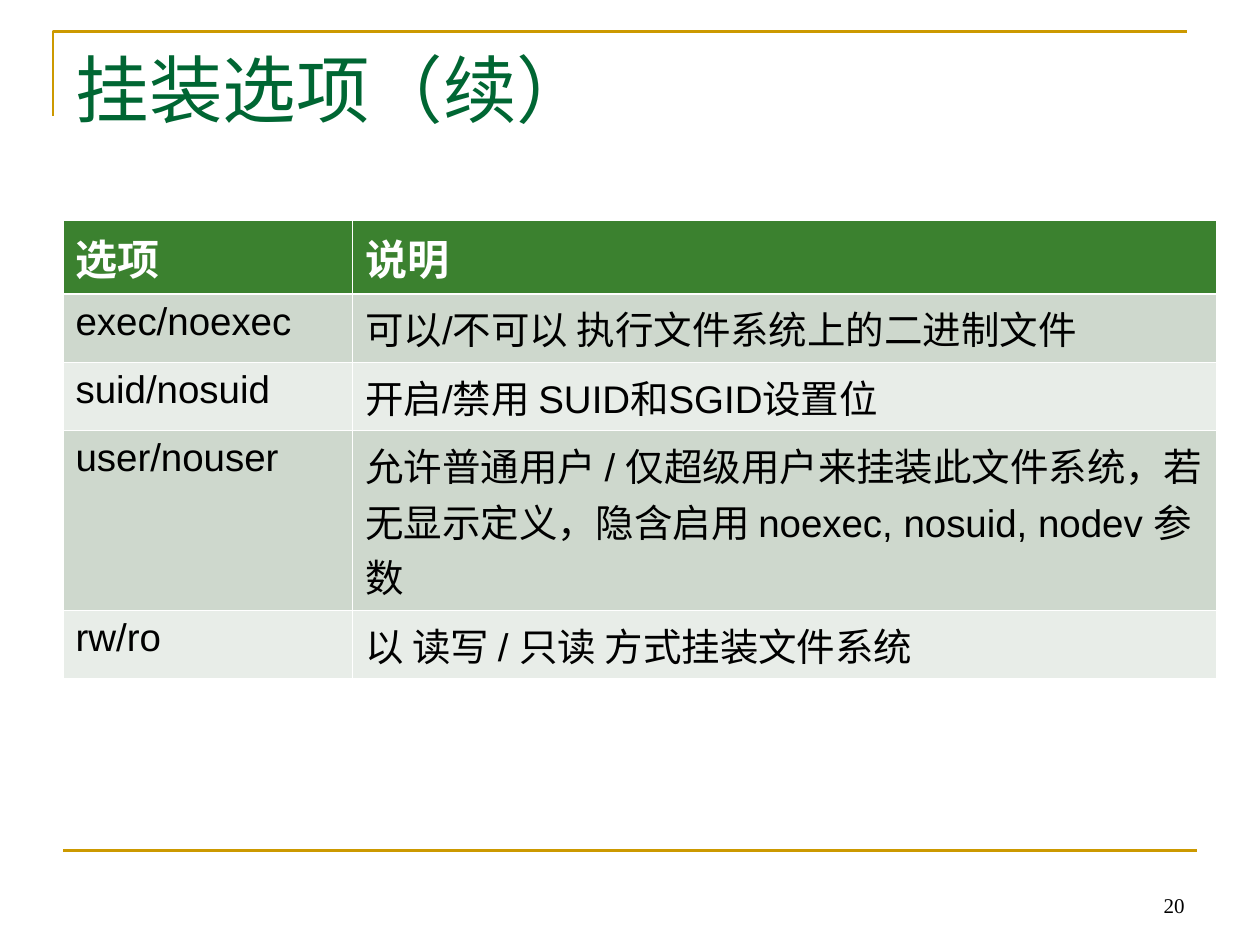
from dataclasses import dataclass

from lxml.etree import SubElement
from pptx import Presentation
from pptx.dml.color import RGBColor
from pptx.enum.shapes import MSO_CONNECTOR
from pptx.enum.text import MSO_ANCHOR, PP_ALIGN
from pptx.oxml.ns import qn
from pptx.util import Inches, Pt


@dataclass(frozen=True)
class Theme:
    gold: str = "CC9900"
    green: str = "006633"
    head: str = "3B812F"
    bands: tuple = ("CED8CD", "E8EDE8")
    white: str = "FFFFFF"
    black: str = "000000"
    serif: str = "Times New Roman"
    sans: str = "Arial"
    title: int = 42
    label: int = 24
    body: int = 22
    page: int = 12
    rule: float = 1.5
    thin: float = 0.45
    thick: float = 1.47


THEME = Theme()
ROWS = [
    ("选项", "说明"),
    ("exec/noexec", "可以/不可以 执行文件系统上的二进制文件"),
    ("suid/nosuid", "开启/禁用 SUID和SGID设置位"),
    ("user/nouser", "允许普通用户 / 仅超级用户来挂装此文件系统，"
                    "若无显示定义，隐含启用 noexec, nosuid, nodev 参数"),
    ("rw/ro", "以 读写 / 只读 方式挂装文件系统"),
]
WIDTHS = (2.3, 6.85)
HEIGHTS = (0.5, 0.5, 0.5, 1.2, 0.5)


def color(code):
    return RGBColor.from_string(code)


def apply(item, **values):
    for name, value in values.items():
        setattr(item, name, value)


def write(frame, text, size, face, code, bold=False, align=PP_ALIGN.LEFT):
    para = frame.paragraphs[0]
    para.alignment = align
    run = para.add_run()
    run.text = text
    apply(run.font, size=Pt(size), name=face, bold=bold)
    run.font.color.rgb = color(code)


def place(shape, left, top, width, height):
    apply(shape, left=Inches(left), top=Inches(top),
          width=Inches(width), height=Inches(height))


def stroke(shape):
    shape.line.color.rgb = color(THEME.gold)
    shape.line.width = Pt(THEME.rule)


def add_corner(slide):
    left, top = Inches(0.42), Inches(0.25)
    pen = slide.shapes.build_freeform(left, Inches(0.92))
    pen.add_line_segments([(left, top), (Inches(9.42), top)], close=False)
    shape = pen.convert_to_shape()
    shape.shadow.inherit = False
    shape.fill.background()
    stroke(shape)


def add_rule(slide):
    ends = [Inches(n) for n in (0.5, 6.75, 9.5, 6.75)]
    line = slide.shapes.add_connector(MSO_CONNECTOR.STRAIGHT, *ends)
    stroke(line)
    SubElement(line._element.spPr, qn("a:effectLst"))


def add_title(slide, text):
    title = slide.shapes.title
    place(title, 0.5, 0.3, 9, 1.25)
    apply(title.text_frame, vertical_anchor=MSO_ANCHOR.TOP, word_wrap=True)
    write(title.text_frame, text, THEME.title, THEME.serif, THEME.green)


def set_edges(cell, **widths):
    props = cell._tc.get_or_add_tcPr()
    # Borders come before the fill in the cell properties
    for spot, side in enumerate("LRTB"):
        edge = props.makeelement(qn(f"a:ln{side}"))
        edge.set("w", str(int(Pt(widths.get(side, THEME.thin)))))
        fill = SubElement(edge, qn("a:solidFill"))
        SubElement(fill, qn("a:srgbClr")).set("val", THEME.white)
        props.insert(spot, edge)


def add_grid(slide):
    frame = slide.shapes.add_table(
        len(ROWS), len(WIDTHS), Inches(0.5), Inches(1.75),
        Inches(sum(WIDTHS)), Inches(sum(HEIGHTS)))
    grid = frame.table
    for col, width in zip(grid.columns, WIDTHS):
        col.width = Inches(width)
    for row, height in zip(grid.rows, HEIGHTS):
        row.height = Inches(height)

    for i, texts in enumerate(ROWS):
        head = i == 0
        shade = THEME.head if head else THEME.bands[(i - 1) % 2]
        style = ((THEME.label, THEME.sans, THEME.white, True) if head
                 else (THEME.body, THEME.sans, THEME.black))
        # A thick edge parts the header from the body
        edges = {0: {"B": THEME.thick}, 1: {"T": THEME.thick}}.get(i, {})
        for j, text in enumerate(texts):
            cell = grid.cell(i, j)
            cell.fill.solid()
            cell.fill.fore_color.rgb = color(shade)
            write(cell.text_frame, text, *style)
            set_edges(cell, **edges)


def add_page(slide, text):
    box = slide.shapes.add_textbox(0, 0, 0, 0)
    place(box, 7.17, 6.83, 2.33, 0.5)
    apply(box.text_frame, word_wrap=True, vertical_anchor=MSO_ANCHOR.BOTTOM)
    write(box.text_frame, text, THEME.page, THEME.serif, THEME.black,
          align=PP_ALIGN.RIGHT)


def main():
    deck = Presentation()
    apply(deck, slide_width=Inches(10), slide_height=Inches(7.5))
    slide = deck.slides.add_slide(deck.slide_layouts.get_by_name("Title Only"))

    # Frame lines
    add_corner(slide)
    add_rule(slide)

    # Content
    add_title(slide, "挂装选项（续）")
    add_grid(slide)
    add_page(slide, "20")
    deck.save("out.pptx")


if __name__ == "__main__":
    main()
